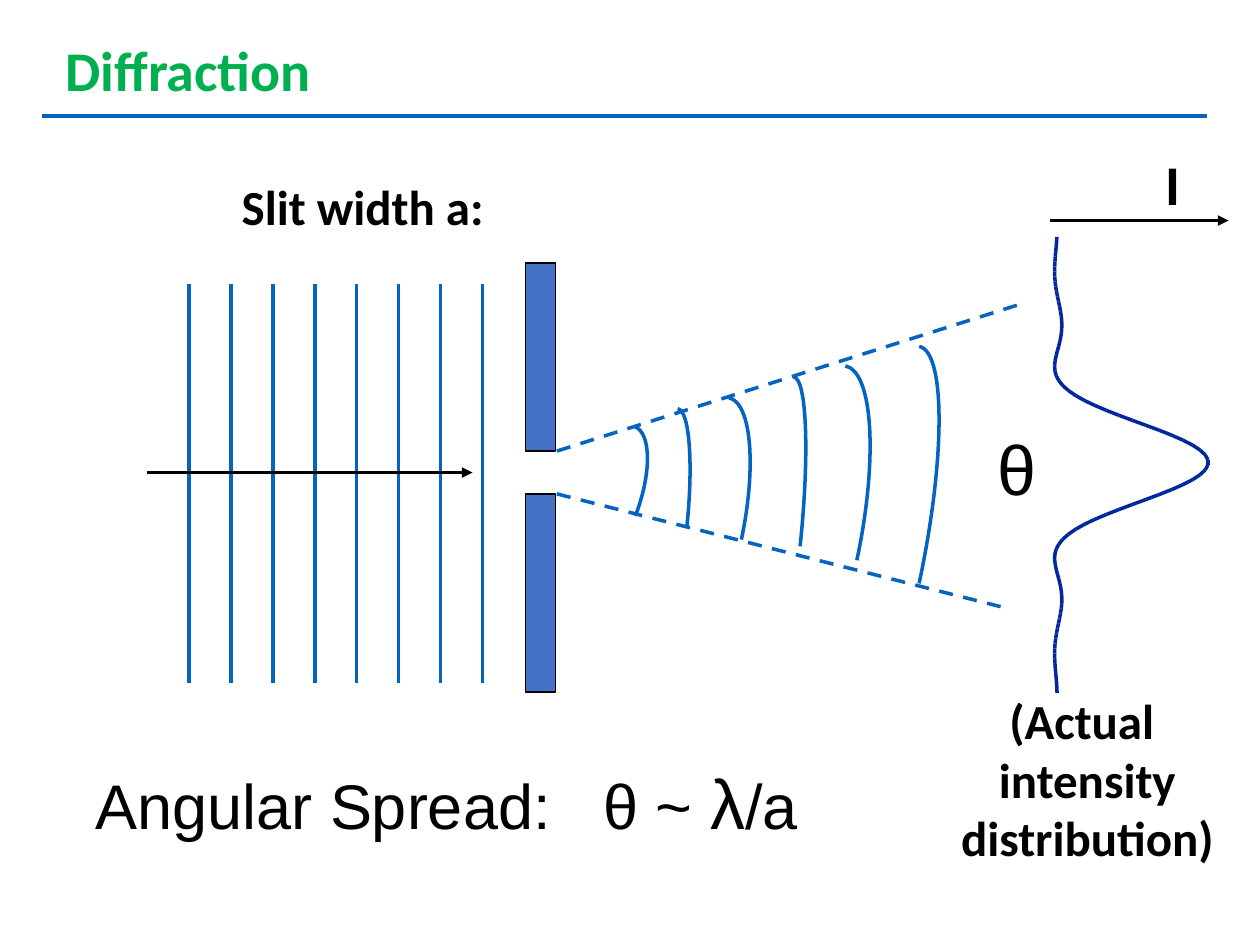
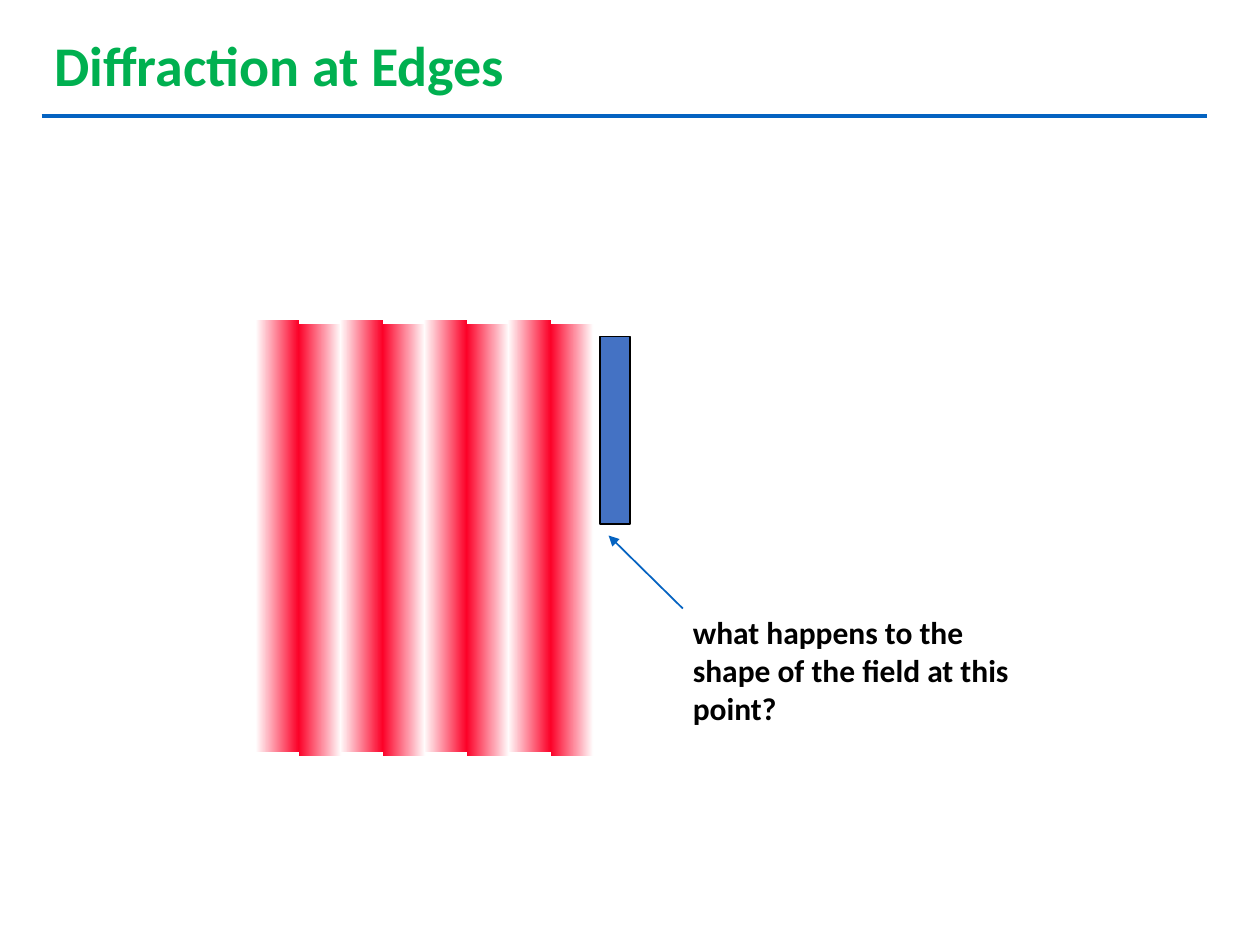
import math

from lxml import etree
from pptx import Presentation
from pptx import util as u
from pptx.dml.color import RGBColor
from pptx.enum import dml, shapes, text
from pptx.oxml import ns

PX = 9144  # one px is a hundredth of an inch
COLORS = {
    "title": "00B050",
    "ray": "0563C1",
    "wall": "4472C4",
    "ink": "000000",
    "curve": "00279F",
    "crest": "FC0128",
    "trough": "FFFFFF",
}


def px(value):
    return u.Emu(round(value * PX))


def rgb(name):
    return RGBColor.from_string(COLORS[name])


# Shared drawing helpers: s is a slide or a group
def add_line(s, start, end, color="ray", width=2, dash=False, arrow=False):
    line = s.shapes.add_connector(
        shapes.MSO_CONNECTOR.STRAIGHT, *(px(v) for v in (*start, *end)))
    line.line.color.rgb = rgb(color)
    line.line.width = u.Pt(width)
    if dash:
        line.line.dash_style = dml.MSO_LINE.DASH
    if arrow:
        tail = etree.SubElement(line.line._get_or_add_ln(), ns.qn("a:tailEnd"))
        tail.set("type", "triangle")
    etree.SubElement(line._element.spPr, ns.qn("a:effectLst"))


def add_rect(s, x, y, w, h):
    sp = s.shapes.add_shape(
        shapes.MSO_SHAPE.RECTANGLE, px(x), px(y), px(w), px(h))
    sp.shadow.inherit = False
    return sp


def add_wall(s, x, y, h):
    sp = add_rect(s, x, y, 24, h)
    sp.fill.solid()
    sp.fill.fore_color.rgb = rgb("wall")
    sp.line.color.rgb = rgb("ink")
    sp.line.width = u.Pt(1)


def add_arc(s, x, y, w, h, angle):
    # A quarter ellipse from the top left to the bottom right of its box
    bend = 0.55
    builder = s.shapes.build_freeform(px(x), px(y), scale=1.0)
    builder.add_line_segments(
        [(px(x + bend * w), px(y)),
         (px(x + w), px(y + (1 - bend) * h)),
         (px(x + w), px(y + h))], close=False)
    sp = builder.convert_to_shape()
    # Turn the three segments into one cubic curve
    outline = next(sp._element.iter(ns.qn("a:path")))
    segments = outline.findall(ns.qn("a:lnTo"))
    cubic = etree.SubElement(outline, ns.qn("a:cubicBezTo"))
    for segment in segments:
        cubic.append(segment[0])
        outline.remove(segment)
    sp.rotation = angle
    sp.shadow.inherit = False
    sp.fill.background()
    sp.line.color.rgb = rgb("ray")
    sp.line.width = u.Pt(2)


def format_run(r, size, font, bold):
    r.font.name = font
    r.font.size = u.Pt(size)
    r.font.bold = bold
    r.font.color.rgb = rgb("ink")


def add_label(s, box, words, size, font="Calibri", bold=True, wrap=False,
              align=text.PP_ALIGN.LEFT, tab=None):
    sp = s.shapes.add_textbox(*(px(v) for v in box))
    tf = sp.text_frame
    tf.word_wrap = wrap
    tf.auto_size = text.MSO_AUTO_SIZE.SHAPE_TO_FIT_TEXT
    tf.text = words
    for p in tf.paragraphs:
        p.alignment = align
        if tab:
            tabs = etree.SubElement(p._p.get_or_add_pPr(), ns.qn("a:tabLst"))
            stop = etree.SubElement(tabs, ns.qn("a:tab"))
            stop.set("pos", str(px(tab)))
            stop.set("algn", "l")
        for r in p.runs:
            format_run(r, size, font, bold)
    return tf


def add_titled_slide(prs, title, box, spacing):
    s = prs.slides.add_slide(prs.slide_layouts[5])
    sp = s.shapes.title
    sp.left, sp.top, sp.width, sp.height = (px(v) for v in box)
    tf = sp.text_frame
    tf.text = title
    tf.word_wrap = True
    tf.auto_size = text.MSO_AUTO_SIZE.NONE
    tf.vertical_anchor = text.MSO_ANCHOR.MIDDLE
    p = tf.paragraphs[0]
    p.alignment = text.PP_ALIGN.LEFT
    p.line_spacing = spacing
    font = p.runs[0].font
    font.name, font.size, font.bold = "Calibri", u.Pt(32), True
    font.color.rgb = rgb("title")
    add_line(s, (33, 92), (958, 92), width=2.25)
    return s


# Single slit: regions
def slit(s, x, y):
    add_wall(s, x, y, 149)
    add_wall(s, x, y + 183, 157)


def plane_waves(s, x, y, w, h):
    count = 8
    for i in range(count):
        front = x + w * i / (count - 1)
        add_line(s, (front, y), (front, y + h))
    add_line(s, (x - 33, y + 150), (x + 225, y + 150), "ink", arrow=True)


def spreading_waves(s, x, y):
    add_line(s, (x, y + 116), (x + 366, y), dash=True)
    add_line(s, (x, y + 150), (x + 358, y + 241), dash=True)
    arcs = [
        (49, 99, 26, 66, 21),
        (91, 83, 17, 92, 6),
        (125, 76, 33, 108, 12),
        (181, 58, 19, 133, 6),
        (213, 51, 41, 149, 12),
        (268, 35, 39, 184, 12),
    ]
    for dx, dy, w, h, angle in arcs:
        add_arc(s, x + dx, y + dy, w, h, angle)
    add_label(s, (x + 340, y + 91, 60, 76), "θ", 40, "Arial", False, wrap=True)


def intensity_plot(s, x, y, w, h):
    # Single-slit intensity: the square of sin(a) / a
    center, first_zero, steps = 179, 76, 92
    points = []
    for i in range(steps + 1):
        dy = h * i / steps
        a = math.pi * (dy - center) / first_zero
        points.append((x + w * (math.sin(a) / a if a else 1) ** 2, y + dy))
    curve = s.shapes.add_group_shape()
    for start, end in zip(points, points[1:]):
        add_line(curve, start, end, "curve")
    # Intensity axis and caption
    add_line(s, (x - 4, y - 13), (x + 138, y - 13), "ink", arrow=True)
    add_label(s, (x + 78, y - 74, 37, 63), "I", 32)
    add_label(s, (x - 89, y + 355, 230, 150),
              "(Actual \nintensity\ndistribution)", 28,
              align=text.PP_ALIGN.CENTER)


def spread_formula(s, x, y):
    tf = add_label(s, (x, y, 578, 76), "Angular Spread:\tθ ~ ", 36,
                   "Arial", False, tab=403)
    for words, size in (("λ", 40), ("/a", 36)):
        r = tf.paragraphs[0].add_run()
        r.text = words
        format_run(r, size, "Arial", False)


def slit_slide(prs):
    s = add_titled_slide(prs, "Diffraction", (42, 23, 568, 63), 1.0)
    slit(s, 417, 209)
    plane_waves(s, 150, 225, 233, 317)
    spreading_waves(s, 442, 242)
    add_label(s, (182, 135, 223, 56), "Slit width a:", 28)
    intensity_plot(s, 837, 188, 122, 362)
    spread_formula(s, 66, 598)


# Edge: regions
def field_stripes(s, x, y, pairs=4):
    field = s.shapes.add_group_shape()
    for i in range(pairs):
        left = x + i * 200 / 3
        for dx, dy, ends in ((0, 0, ("trough", "crest")),
                             (34, 3, ("crest", "trough"))):
            sp = add_rect(field, left + dx, y + dy, 34, 343)
            sp.line.fill.background()
            sp.fill.gradient()
            sp.fill.gradient_angle = 0
            for stop, position, name in zip(
                    sp.fill.gradient_stops, (0, 1), ends):
                stop.position = position
                stop.color.rgb = rgb(name)


def edge_question(s, x, y):
    add_label(s, (x, y, 358, 130),
              "what happens to the\nshape of the field at this\npoint?", 18)
    add_line(s, (x + 2, y + 1), (x - 57, y - 57), width=1, arrow=True)


def edge_slide(prs):
    s = add_titled_slide(prs, "Diffraction at Edges", (33, 17, 850, 75), 0.9)
    add_wall(s, 476, 267, 149)
    field_stripes(s, 203, 254)
    edge_question(s, 540, 482)


def main():
    prs = Presentation()
    prs.slide_width, prs.slide_height = px(1000), px(750)
    slit_slide(prs)
    edge_slide(prs)
    prs.save("out.pptx")


if __name__ == "__main__":
    main()
